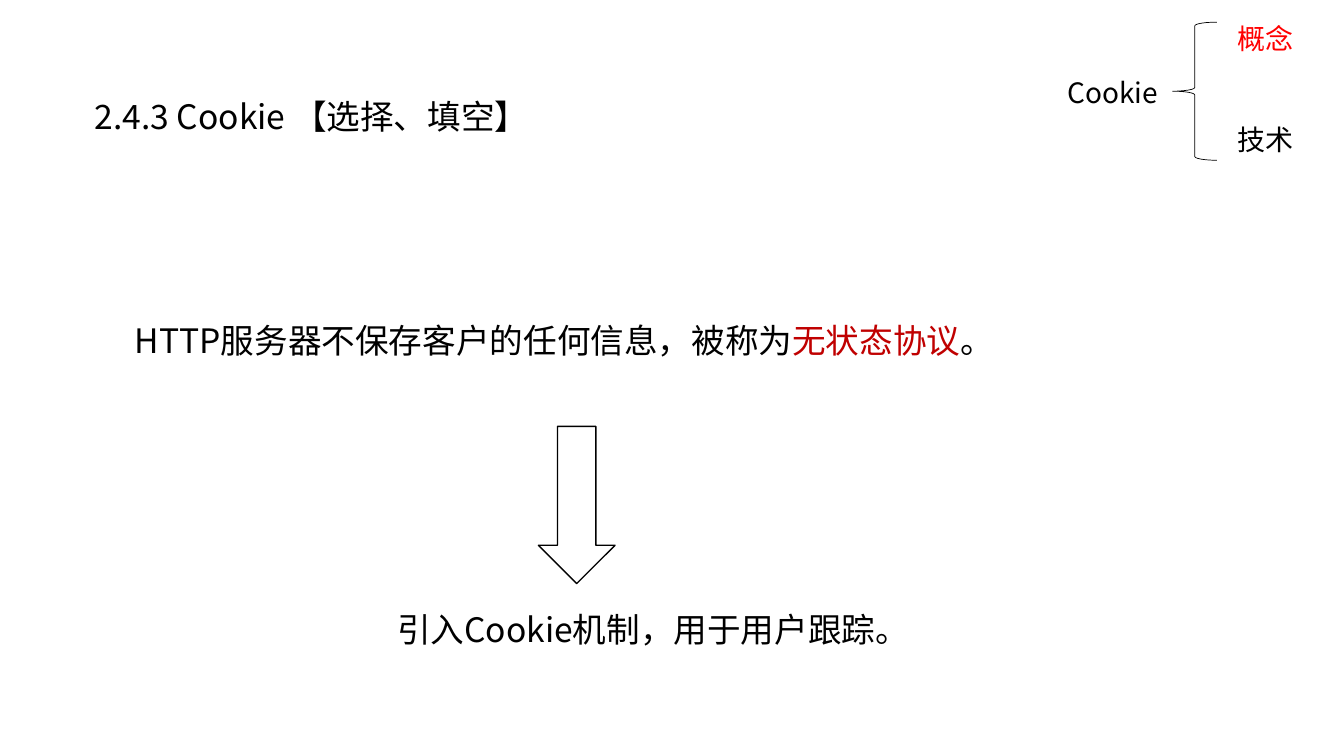
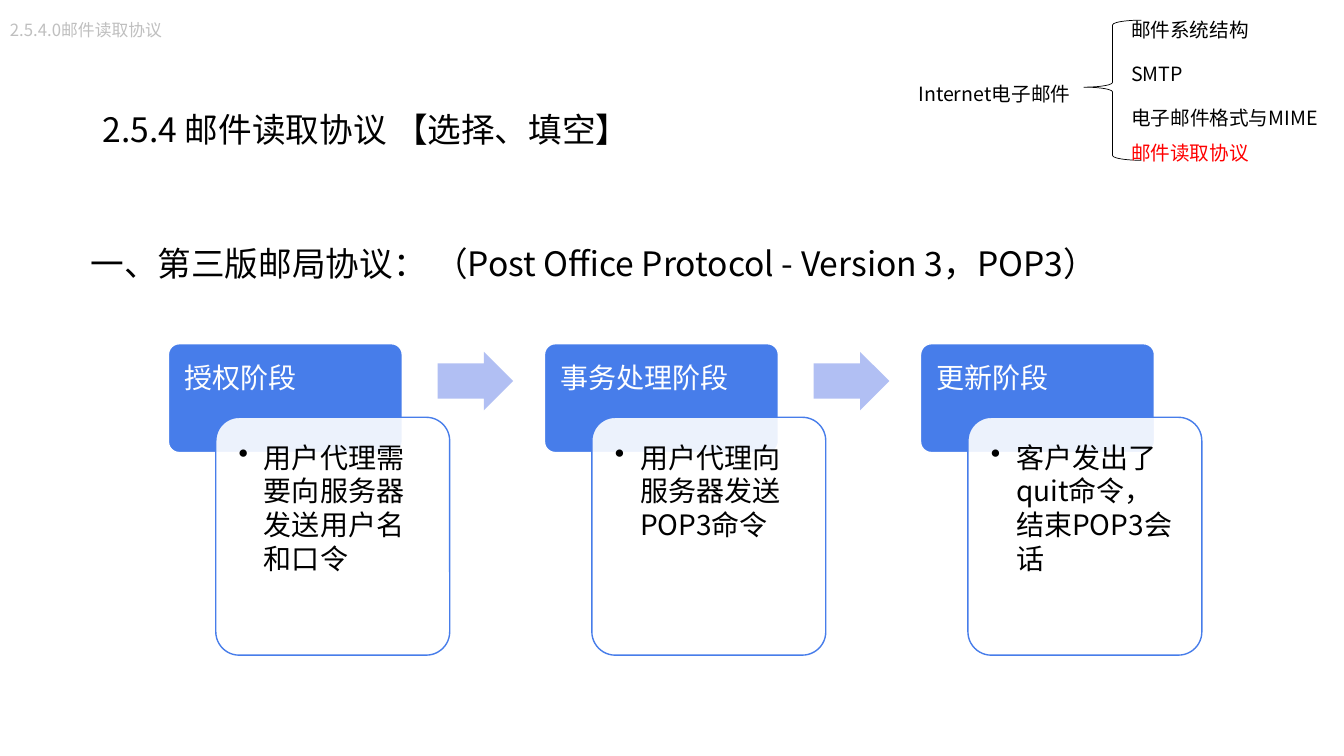
"""Builds two lecture slides on cookies and mail reading protocols."""
import pptx
import pptx.dml.color
import pptx.enum.shapes
import pptx.enum.text
import pptx.oxml.ns
import pptx.util
from lxml import etree

PX = 9144
FACE = "Noto Sans CJK SC"
COLORS = {
    "black": "000000",
    "white": "FFFFFF",
    "red": "FF0000",
    "dark red": "C00000",
    "gray": "BFBFBF",
    "blue": "477DEA",
    "pale blue": "B1BFF3",
}
RGB = {name: pptx.dml.color.RGBColor.from_string(code) for name, code in COLORS.items()}
PRESET = pptx.enum.shapes.MSO_SHAPE
qn = pptx.oxml.ns.qn


def draw(slide, preset, box, fill=None, line=None, weight=1, adjust=()):
    """Add a preset shape with its fill, outline and adjustments."""
    shape = slide.shapes.add_shape(preset, *[n * PX for n in box])
    shape.shadow.inherit = False
    for index, value in enumerate(adjust):
        shape.adjustments[index] = value
    if fill:
        shape.fill.solid()
        shape.fill.fore_color.rgb = RGB[fill]
    else:
        shape.fill.background()
    if line:
        shape.line.color.rgb = RGB[line]
        shape.line.width = pptx.util.Pt(weight)
    else:
        shape.line.fill.background()
    return shape


def write(holder, text, size, color="black", spacing=1.5, inset=(10, 5, 10, 5), bullet=False, face=FACE):
    """Write one left-aligned paragraph at the top of a shape or text box."""
    frame = holder.text_frame
    frame.word_wrap = True
    frame.vertical_anchor = pptx.enum.text.MSO_ANCHOR.TOP
    frame.margin_left, frame.margin_top, frame.margin_right, frame.margin_bottom = [n * PX for n in inset]
    paragraph = frame.paragraphs[0] if not frame.text else frame.add_paragraph()
    paragraph.add_run().text = text
    paragraph.alignment = pptx.enum.text.PP_ALIGN.LEFT
    paragraph.line_spacing = spacing
    if bullet:
        properties = paragraph._p.get_or_add_pPr()
        properties.set("marL", str(25 * PX))
        properties.set("indent", str(-25 * PX))
        etree.SubElement(properties, qn("a:buChar")).set("char", "•")
    paragraph.font.size = pptx.util.Pt(size)
    paragraph.font.color.rgb = RGB[color]
    paragraph.font.name = face
    etree.SubElement(paragraph.font._element, qn("a:ea")).set("typeface", FACE)
    return paragraph


deck = pptx.Presentation()
deck.slide_width, deck.slide_height = 1333 * PX, 750 * PX
cookie, mail = [deck.slides.add_slide(deck.slide_layouts[6]) for _ in range(2)]

for slide, box, title in (
    (cookie, (82, 69, 470, 73), "2.4.3 Cookie 【选择、填空】"),
    (mail, (90, 82, 590, 66), "2.5.4 邮件读取协议 【选择、填空】"),
):
    write(slide.shapes.add_textbox(*[n * PX for n in box]), title, 24, inset=(12, 6, 12, 6))

for slide, box, adjust in (
    (cookie, (1163, 22, 44, 137), ()),
    (mail, (1075, 20, 57, 139), (0.083, 0.478)),
):
    draw(slide, PRESET.LEFT_BRACE, box, line="black", weight=0.5, adjust=adjust)

draw(cookie, PRESET.DOWN_ARROW, (534, 423, 76, 156), "white", "black")

for slide, box, text, size, color, spacing in (
    (cookie, (384, 579, 546, 71), "引入Cookie机制，用于用户跟踪。", 24, "black", 1.5),
    (cookie, (1049, 53, 145, 55), "Cookie", 20, "black", 1.5),
    (mail, (0, 15, 180, 30), "2.5.4.0邮件读取协议", 12, "gray", 1.0),
    (mail, (901, 65, 173, 41), "Internet电子邮件", 14, "black", 1.5),
    (mail, (1112, 1, 170, 41), "邮件系统结构", 14, "black", 1.5),
    (mail, (1112, 45, 213, 41), "SMTP", 14, "black", 1.5),
    (mail, (1112, 88, 221, 41), "电子邮件格式与MIME", 14, "black", 1.5),
    (mail, (1112, 123, 184, 41), "邮件读取协议", 14, "red", 1.5),
    (mail, (80, 225, 1253, 62), "一、第三版邮局协议： （Post Office Protocol - Version 3，POP3）", 24, "black",
     pptx.util.Pt(37)),
):
    write(slide.shapes.add_textbox(*[n * PX for n in box]), text, size, color, spacing)

stateless = cookie.shapes.add_textbox(*[n * PX for n in (124, 292, 1094, 64)])
sentence = write(stateless, "HTTP服务器不保存客户的任何信息，被称为", 24)
for text, color in (("无状态协议", "dark red"), ("。", "black")):
    run = sentence.add_run()
    run.text = text
    run.font.color.rgb = RGB[color]

topics = cookie.shapes.add_textbox(*[n * PX for n in (1218, 0, 140, 162)])
write(topics, "概念", 20, "red", face="Arial")
write(topics, "技术", 20, face="Arial").space_before = pptx.util.Pt(36)

stages = (
    ("授权阶段", "用户代理需要向服务器发送用户名和口令"),
    ("事务处理阶段", "用户代理向服务器发送POP3命令"),
    ("更新阶段", "客户发出了quit命令，结束POP3会话"),
)
for index, (stage, action) in enumerate(stages):
    left = 167 + 373 * index
    header = draw(mail, PRESET.ROUNDED_RECTANGLE, (left, 341, 232, 108), "blue", "white", adjust=(0.1,))
    write(header, stage, 20, "white", 1.0, (13, 13, 13, 8))
    card = draw(mail, PRESET.ROUNDED_RECTANGLE, (left + 47, 414, 232, 236), "white", "blue", adjust=(0.1,))
    card_fill = card._element.spPr.find(qn("a:solidFill")).find(qn("a:srgbClr"))
    etree.SubElement(card_fill, qn("a:alpha")).set("val", "90000")
    write(card, action, 20, spacing=1.0, inset=(16, 16, 16, 16), bullet=True)
    if index < len(stages) - 1:
        draw(mail, PRESET.RIGHT_ARROW, (left + 267, 349, 75, 58), "pale blue", adjust=(0.6, 0.5))

deck.save("out.pptx")
